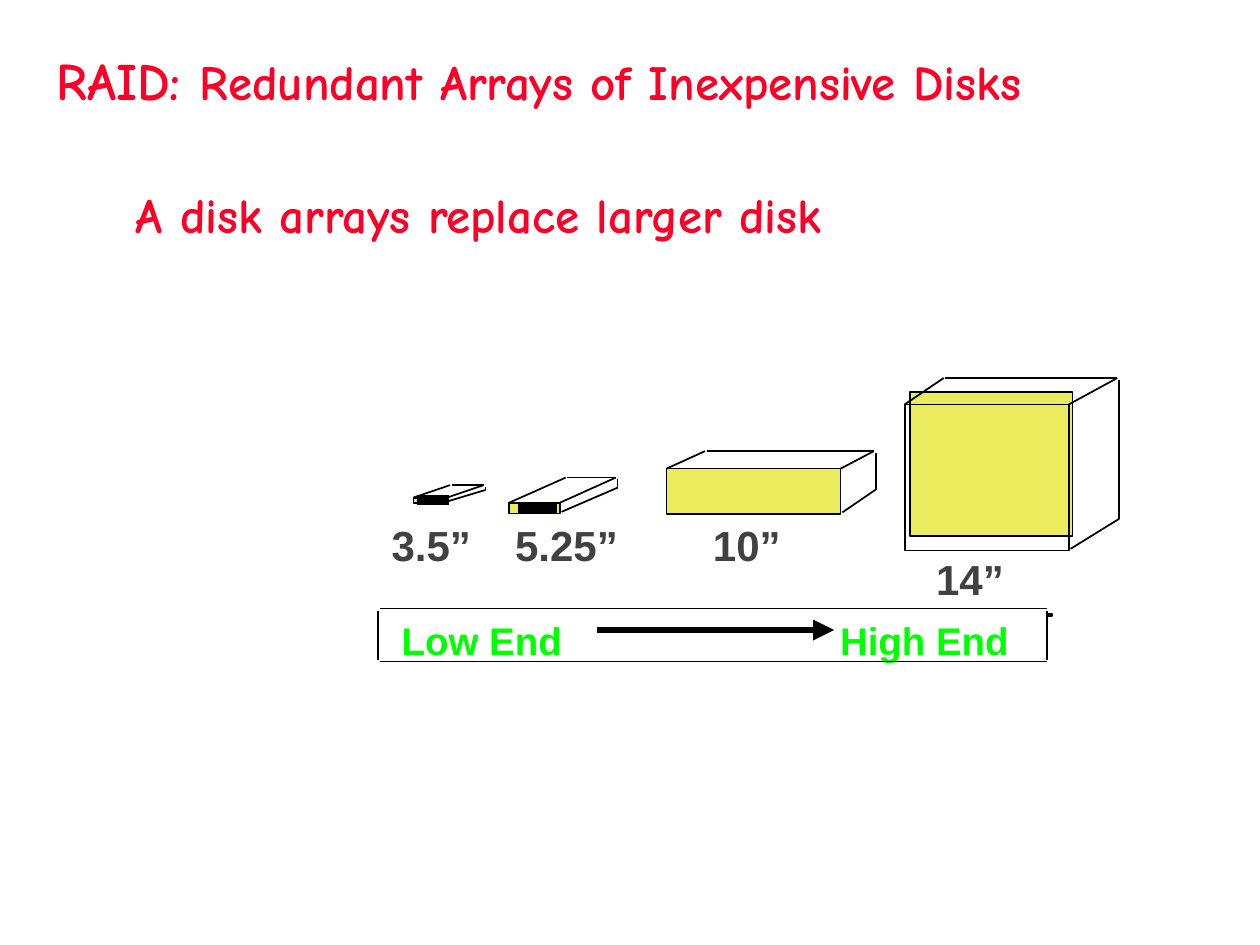
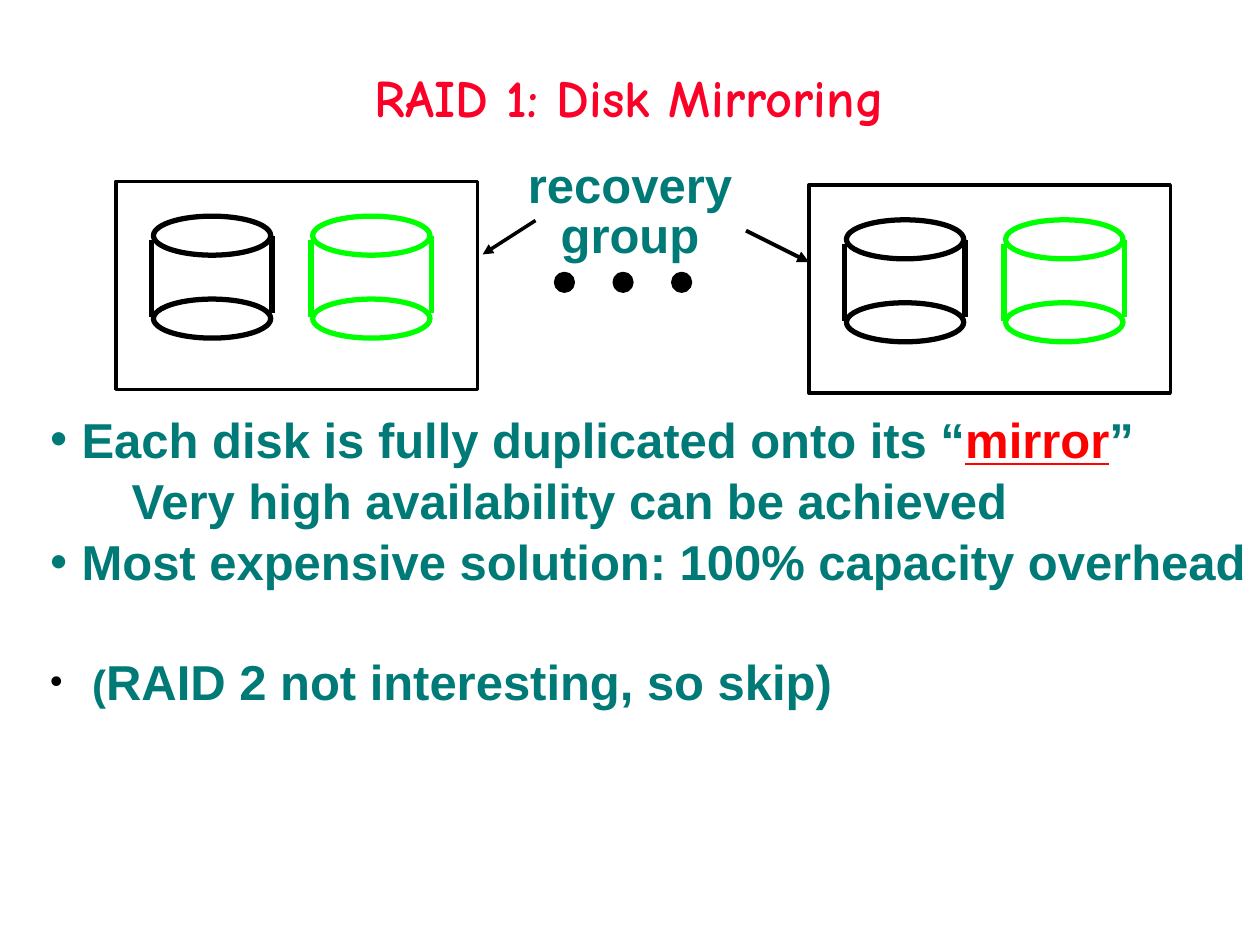
import dataclasses

import pptx
import pptx.dml.color
import pptx.enum.shapes
import pptx.enum.text
import pptx.oxml.ns
import pptx.util
from lxml import etree

Pt = pptx.util.Pt
SHAPE = pptx.enum.shapes.MSO_SHAPE
ALIGN = pptx.enum.text.PP_ALIGN
ANCHOR = pptx.enum.text.MSO_ANCHOR


@dataclasses.dataclass(frozen=True)
class Theme:
    red: str = "FC0128"
    teal: str = "007A77"
    mirror: str = "FF0000"
    green: str = "00FF00"
    grey: str = "414141"
    yellow: str = "EAEC5E"
    black: str = "000000"
    white: str = "FFFFFF"
    display: str = "Comic Neue"
    body: str = "Arial"
    title: float = 30
    text: float = 28
    label: float = 24
    range: float = 22


T = Theme()


# Shared drawing helpers

def rgb(color):
    return pptx.dml.color.RGBColor.from_string(color)


def sub(parent, tag, **attrs):
    return etree.SubElement(parent, pptx.oxml.ns.qn(tag), attrs)


def style(sp, fill, color=T.black, width=1):
    sp.shadow.inherit = False
    if fill:
        sp.fill.solid()
        sp.fill.fore_color.rgb = rgb(fill)
    else:
        sp.fill.background()
    sp.line.color.rgb = rgb(color)
    sp.line.width = Pt(width)


def shape(s, kind, x, y, w, h, fill=None, color=T.black, width=1):
    sp = s.shapes.add_shape(kind, Pt(x), Pt(y), Pt(w), Pt(h))
    style(sp, fill, color, width)


def panel(s, x, y, w, h, fill):
    """Four-sided outline for the front of a drive."""
    builder = s.shapes.build_freeform(Pt(x), Pt(y))
    corners = [(x + w, y), (x + w, y + h), (x, y + h)]
    builder.add_line_segments([(Pt(a), Pt(b)) for a, b in corners])
    style(builder.convert_to_shape(), fill)


def line(s, x1, y1, x2, y2, color=T.black, width=1, arrow=False):
    c = s.shapes.add_connector(pptx.enum.shapes.MSO_CONNECTOR.STRAIGHT,
                               Pt(x1), Pt(y1), Pt(x2), Pt(y2))
    c.line.color.rgb = rgb(color)
    c.line.width = Pt(width)
    if arrow:
        sub(c.line._get_or_add_ln(), "a:tailEnd", type="triangle")
    sub(c._element.spPr, "a:effectLst")


def add_run(p, text, size, color, font=T.body, underline=False):
    r = p.add_run()
    r.text = text
    r.font.name = font
    r.font.size = Pt(size)
    r.font.bold = True
    r.font.underline = underline
    r.font.color.rgb = rgb(color)


def frame(s, x, y, w, h, anchor=ANCHOR.TOP):
    tf = s.shapes.add_textbox(Pt(x), Pt(y), Pt(w), Pt(h)).text_frame
    tf.word_wrap = True
    tf.vertical_anchor = anchor
    return tf


def text(s, box, runs, font=T.body, align=ALIGN.LEFT, anchor=ANCHOR.TOP):
    """One paragraph made of (text, size, colour) runs."""
    p = frame(s, *box, anchor).paragraphs[0]
    p.alignment = align
    p.line_spacing = 0.9
    for words, size, color in runs:
        add_run(p, words, size, color, font)


def title(s, box, runs, align=ALIGN.LEFT):
    runs = [(words, size, T.red) for words, size in runs]
    text(s, box, runs, T.display, align, ANCHOR.MIDDLE)


# Slide 1: drives from low end to high end

def drive(s, x, y, w, h, lean_left, lean_right, rise, back_h,
          fill=T.yellow, inner=None, slot=None):
    """Box-shaped drive whose front has its top left corner at x, y."""
    gap = 1
    if inner:
        dx, dy, iw, ih = inner
        panel(s, x + dx, y + dy, iw, ih, T.yellow)
    panel(s, x, y, w, h, fill)
    back, right = y - rise, x + w + lean_right
    line(s, x, y, x + lean_left, back)
    line(s, x + w, y, right, back)
    line(s, x + w + gap, y + h - gap, right + gap, back + back_h)
    line(s, x + lean_left + gap, back, right, back)
    line(s, right + gap, back + gap, right + gap, back + back_h)
    if slot:
        x1, x2, dy = slot
        line(s, x + x1, y + dy, x + x2, y + dy, width=6)


def range_bar(s, x, y, w, h):
    """Frame with an arrow between two end labels."""
    text(s, (x + 6.5, y + 4.5, 119.5, 31), [("Low End", T.range, T.green)])
    text(s, (x + 257, y + 4, 119.5, 31), [("High End", T.range, T.green)])
    line(s, x + 125.3, y + 12.2, x + 260.6, y + 12.2, width=4, arrow=True)
    shape(s, SHAPE.RECTANGLE, x + w, y + 2.9, 2.9, 1.4, T.white)
    for edge in (y, y + h):
        line(s, x + 1.4, edge, x + w, edge)
    for edge in (x, x + w):
        line(s, edge, y + 1.2, edge, y + h - 1)


def drives_slide(prs):
    s = prs.slides.add_slide(prs.slide_layouts[6])
    title(s, (25.2, 23.8, 682.5, 48.2),
          [("RAID: ", T.title),
           ("Redundant Arrays of Inexpensive Disks", T.text)])
    text(s, (70.6, 105.8, 563.8, 324),
         [("A disk arrays replace larger disk", T.text, T.red)], T.display)
    range_bar(s, 216, 347.8, 382.2, 30.2)

    # Drives, smallest first
    drive(s, 380.9, 267.8, 99.5, 26, 22, 19, 10, 22)
    drive(s, 236.2, 284.4, 19.2, 2.9, 21, 21, 7.2, 2.8,
          inner=(0, 0, 18, 2.2), slot=(2.2, 20.2, 1.4))
    drive(s, 290.9, 287.3, 29, 6.2, 32.4, 32, 14.4, 5.8,
          inner=(0, 0, 28.4, 5), slot=(5, 27.4, 3.2))
    drive(s, 517, 231.1, 93.8, 83.5, 22.3, 27.7, 15.1, 80.5,
          fill=None, inner=(2.9, -7.2, 92.9, 82.4))

    # Drive sizes
    for words, x, y, w in [("14”", 527.8, 316.1, 65.5), ("10”", 400.3, 296.6, 70.6),
                           ("5.25”", 287.3, 296.6, 98.6), ("3.5”", 216.7, 296.6, 98.6)]:
        text(s, (x, y, w, 33.1), [(words, T.label, T.grey)])


# Slide 2: mirrored pairs of disks

def cylinder(s, x, y, w, h, color):
    cap = 22.3
    for top in (y, y + h - cap):
        shape(s, SHAPE.OVAL, x, top, w, cap, T.white, color, 3)
    for side, top in ((x - 1, y + 13.7), (x + w + 0.8, y + 11.6)):
        line(s, side, top, side, top + 44, color, 3)


def mirrored_pair(s, x, y, w, h):
    for i, color in enumerate((T.black, T.green)):
        cylinder(s, x + 21.5 + 91 * i, y + 19.8, 67, 69.7, color)
    shape(s, SHAPE.RECTANGLE, x, y, w, h, width=2)


def recovery_label(s, x, y, w, h):
    """Caption, dots and the arrows to the pair on either side."""
    tf = frame(s, x, y, w, h)
    for i, word in enumerate(("recovery", "group")):
        p = tf.paragraphs[0] if i == 0 else tf.add_paragraph()
        p.alignment = ALIGN.CENTER
        p.line_spacing = 0.85
        add_run(p, word, T.text, T.teal)
    for i in range(3):
        shape(s, SHAPE.OVAL, x + 23 + 33.5 * i, y + 66.3, 10.1, 10.1, T.black, width=2)
    line(s, x + 11.5, y + 36, x - 18.7, y + 55.4, width=2, arrow=True)
    line(s, x + 131.8, y + 41.8, x + 167.8, y + 59.8, width=2.25, arrow=True)


def notes_list(s, x, y, w, h):
    teal = (T.text, T.teal)
    # Left margin, space before, bullet colour and percent, runs
    items = [
        (18, 0, (T.teal, 100), [("Each disk is fully duplicated onto its “", *teal),
                                ("mirror", T.text, T.mirror, T.body, True),
                                ("”", *teal)]),
        (46.5, 1.3, None, [("Very high availability can be achieved", *teal)]),
        (18, 1.3, (T.teal, 100),
         [("Most expensive solution: 100% capacity overhead", *teal)]),
        (24, 34.7, (T.black, 85), [("(", T.label, T.teal),
                                   ("RAID 2 not interesting, so skip)", *teal)]),
    ]
    tf = frame(s, x, y, w, h)
    for i, (margin, before, bullet, runs) in enumerate(items):
        p = tf.paragraphs[0] if i == 0 else tf.add_paragraph()
        if before:
            p.space_before = Pt(before)
        pPr = p._p.get_or_add_pPr()
        pPr.set("marL", str(Pt(margin)))
        if bullet:
            color, percent = bullet
            pPr.set("indent", str(-Pt(margin)))
            sub(sub(pPr, "a:buClr"), "a:srgbClr", val=color)
            sub(pPr, "a:buSzPct", val=str(percent * 1000))
            sub(pPr, "a:buFont", typeface=T.body)
            sub(pPr, "a:buChar", char="•")
        for run in runs:
            add_run(p, *run)


def mirroring_slide(prs):
    s = prs.slides.add_slide(prs.slide_layouts[6])
    title(s, (0, 12.2, 719.3, 90), [("RAID 1: Disk Mirroring", T.title)], ALIGN.CENTER)
    for x, y in ((462.2, 105.8), (66.2, 103.7)):
        mirrored_pair(s, x, y, 206.6, 118.8)
    notes_list(s, 21.6, 230.5, 720, 175)
    recovery_label(s, 294.5, 90, 131, 64)


def main():
    prs = pptx.Presentation()
    prs.slide_width, prs.slide_height = Pt(720), Pt(540)
    drives_slide(prs)
    mirroring_slide(prs)
    prs.save("out.pptx")


if __name__ == "__main__":
    main()
